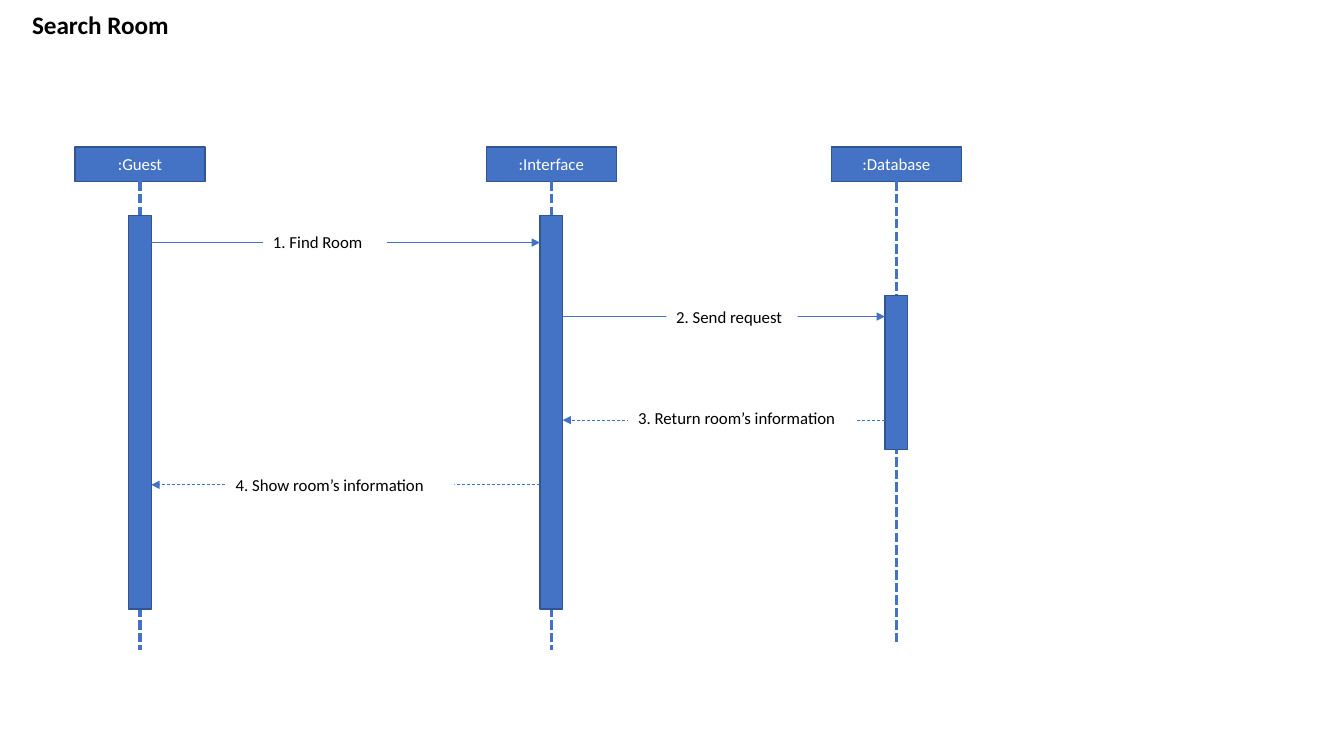
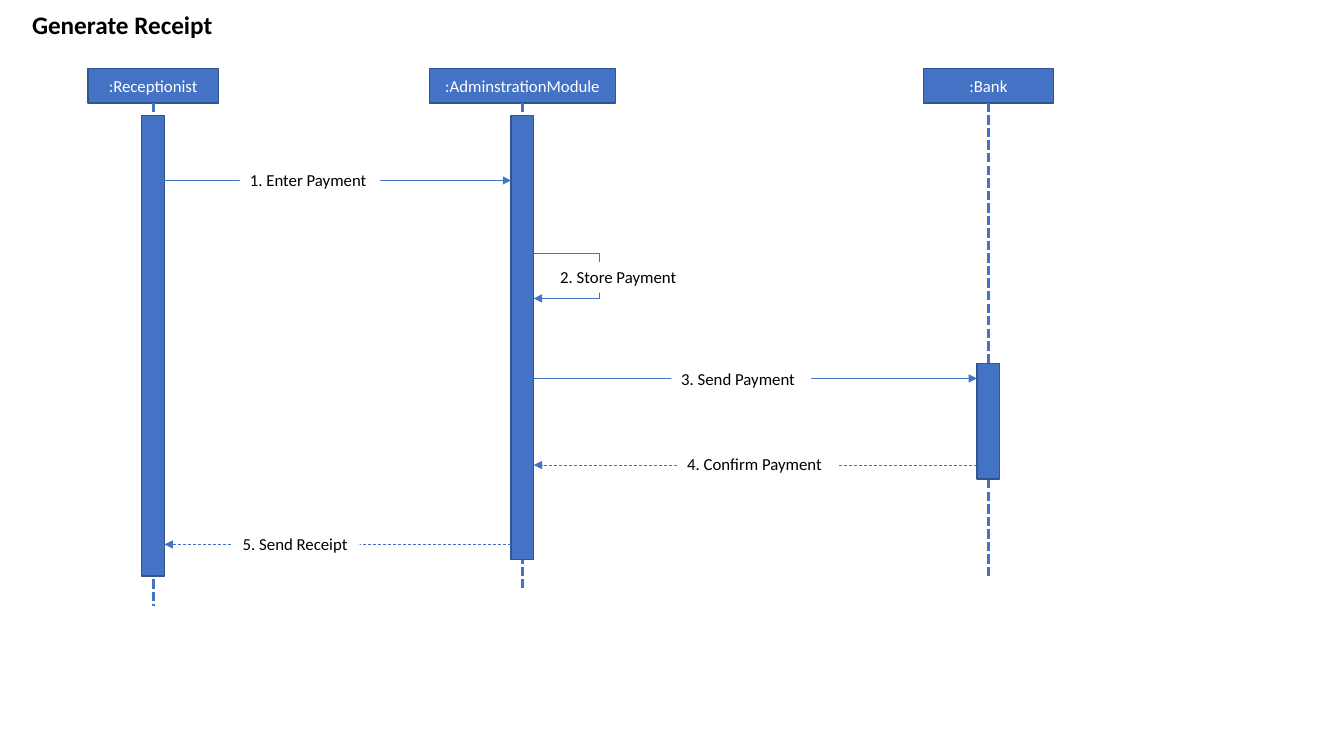
from dataclasses import dataclass

from lxml.etree import SubElement
from pptx import Presentation
from pptx.dml.color import RGBColor
from pptx.enum.dml import MSO_LINE
from pptx.enum.shapes import MSO_CONNECTOR, MSO_SHAPE
from pptx.enum.text import MSO_ANCHOR, MSO_AUTO_SIZE, PP_ALIGN
from pptx.oxml.ns import qn
from pptx.shapes.autoshape import Shape
from pptx.slide import Slide
from pptx.util import Pt

BLUE = RGBColor(0x44, 0x72, 0xC4)
NAVY = RGBColor(0x32, 0x54, 0x91)
WHITE = RGBColor(0xFF, 0xFF, 0xFF)
BLACK = RGBColor(0, 0, 0)
FONT = "Calibri"
HEAD_H = 24.5
HEAD_W = 93
BAR_W = 16.2
NOTE_H = 21.8
LOOP_W = 47
LOOP_H = 32.4


@dataclass
class Lane:
    name: str
    mid: float
    end: float
    bar_top: float
    bar_h: float
    width: float = HEAD_W


@dataclass
class Call:
    text: str
    start: int
    stop: int
    y: float
    left: float
    top: float
    width: float


@dataclass
class Chart:
    title: str
    top: float
    lanes: list[Lane]
    calls: list[Call]


CHARTS = [
    Chart("Search Room", 105.1, [
        Lane(":Guest", 100, 464.4, 154, 281),
        Lane(":Interface", 393.8, 464.4, 154, 281),
        Lane(":Database", 640.3, 459.4, 211, 110),
    ], [
        Call("1. Find Room", 0, 1, 173.3, 187.9, 162.2, 88.5),
        Call("2. Send request", 1, 2, 226.1, 475.9, 215.3, 93.8),
        Call("3. Return room’s information", 2, 1, 300.1, 448.7, 287.8, 162),
        Call("4. Show room’s information", 1, 0, 346.3, 161.2, 335.5, 163.4),
    ]),
    Chart("Generate Receipt", 49, [
        Lane(":Receptionist", 109.4, 432.7, 82.7, 328.7),
        Lane(":AdminstrationModule", 373.2, 419.8, 82.7, 317, 133.2),
        Lane(":Bank", 706, 411.1, 259.8, 82.4),
    ], [
        Call("1. Enter Payment", 0, 1, 128.9, 171.4, 118, 100),
        Call("2. Store Payment", 1, 1, 180.8, 393.1, 187.2, 100),
        Call("3. Send Payment", 1, 2, 270.3, 479.5, 260, 100),
        Call("4. Confirm Payment", 2, 1, 332.2, 483.8, 320.5, 115.2),
        Call("5. Send Receipt", 1, 0, 388.9, 166.3, 378, 90.7),
    ]),
]


def put_text(shape: Shape, text: str, *, size: float = 12,
             color: RGBColor = BLACK, bold: bool = False,
             align: PP_ALIGN = PP_ALIGN.LEFT,
             anchor: MSO_ANCHOR = MSO_ANCHOR.TOP, grow: bool = True) -> None:
    frame = shape.text_frame
    frame.word_wrap = True
    frame.vertical_anchor = anchor
    frame.auto_size = (MSO_AUTO_SIZE.SHAPE_TO_FIT_TEXT if grow
                       else MSO_AUTO_SIZE.NONE)
    para = frame.paragraphs[0]
    para.alignment = align
    run = para.add_run()
    run.text = text
    run.font.name = FONT
    run.font.size = Pt(size)
    run.font.bold = bold
    run.font.color.rgb = color


def draw_box(slide: Slide, left: float, top: float, width: float,
             height: float, fill: RGBColor = BLUE,
             edge: RGBColor | None = NAVY) -> Shape:
    box = slide.shapes.add_shape(MSO_SHAPE.RECTANGLE, Pt(left), Pt(top),
                                 Pt(width), Pt(height))
    box.shadow.inherit = False
    box.fill.solid()
    box.fill.fore_color.rgb = fill
    if edge is None:
        box.line.fill.background()
    else:
        box.line.color.rgb = edge
        box.line.width = Pt(1)
    return box


def draw_line(slide: Slide, x1: float, y1: float, x2: float, y2: float, *,
              weight: float = 0.5, dash: MSO_LINE | None = None,
              arrow: bool = False) -> None:
    link = slide.shapes.add_connector(MSO_CONNECTOR.STRAIGHT, Pt(x1), Pt(y1),
                                      Pt(x2), Pt(y2))
    link.line.color.rgb = BLUE
    link.line.width = Pt(weight)
    if dash is not None:
        link.line.dash_style = dash
    if arrow:
        SubElement(link.line._get_or_add_ln(), qn("a:tailEnd"),
                   type="triangle")
    SubElement(link._element.spPr, qn("a:effectLst"))


def draw_lane(slide: Slide, lane: Lane, top: float) -> None:
    head = draw_box(slide, lane.mid - lane.width / 2, top, lane.width, HEAD_H)
    put_text(head, lane.name, color=WHITE, align=PP_ALIGN.CENTER,
             anchor=MSO_ANCHOR.MIDDLE, grow=False)
    draw_line(slide, lane.mid, top + HEAD_H, lane.mid, lane.end,
              weight=2.25, dash=MSO_LINE.SQUARE_DOT)
    draw_box(slide, lane.mid - BAR_W / 2, lane.bar_top, BAR_W, lane.bar_h)


def draw_call(slide: Slide, call: Call, lanes: list[Lane]) -> None:
    x1, x2 = lanes[call.start].mid, lanes[call.stop].mid
    half = BAR_W / 2
    if call.start == call.stop:
        near, far = x1 + half, x1 + half + LOOP_W
        low = call.y + LOOP_H
        draw_line(slide, near, call.y, far, call.y)
        draw_line(slide, far, call.y, far, low)
        draw_line(slide, far, low, near, low, arrow=True)
    else:
        reply = call.start > call.stop
        step = -half if reply else half
        draw_line(slide, x1 + step, call.y, x2 - step, call.y, arrow=True,
                  dash=MSO_LINE.DASH if reply else None)
    note = draw_box(slide, call.left, call.top, call.width, NOTE_H,
                    WHITE, None)
    put_text(note, call.text)


def draw_chart(slide: Slide, chart: Chart) -> None:
    title = slide.shapes.add_textbox(Pt(15.8), Pt(2.9), Pt(168), Pt(29))
    put_text(title, chart.title, size=18, bold=True)
    for lane in chart.lanes:
        draw_lane(slide, lane, chart.top)
    for call in chart.calls:
        draw_call(slide, call, chart.lanes)


def main() -> None:
    deck = Presentation()
    deck.slide_width, deck.slide_height = Pt(960), Pt(540)
    for chart in CHARTS:
        draw_chart(deck.slides.add_slide(deck.slide_layouts[6]), chart)
    deck.save("out.pptx")


main()
